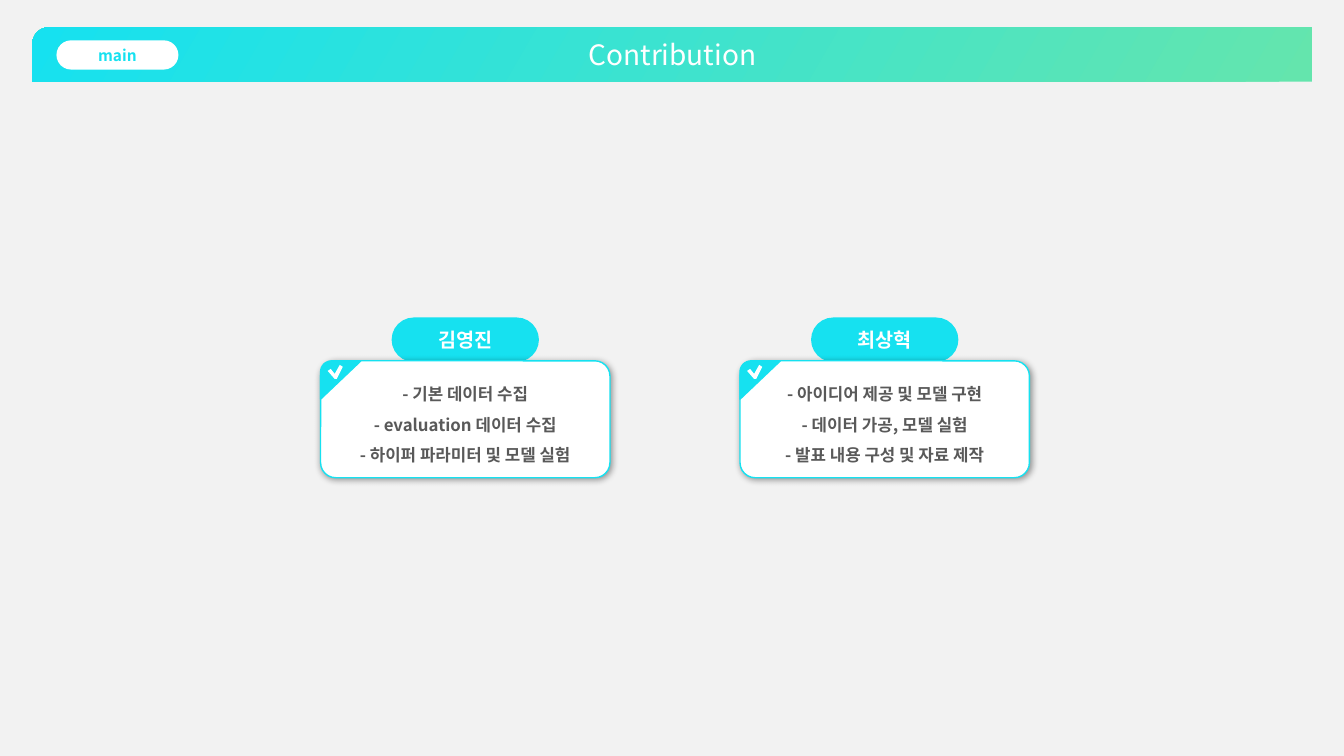
from dataclasses import dataclass
from math import cos, pi, sin

from lxml import etree
from pptx import Presentation
from pptx.dml.color import RGBColor
from pptx.enum import shapes, text
from pptx.oxml import ns, parse_xml
from pptx.util import Inches, Pt


@dataclass(frozen=True)
class Theme:
    font: str = "Noto Sans CJK KR"
    back: str = "F2F2F2"
    cyan: str = "16E1F0"
    mint: str = "64E5AD"
    white: str = "FFFFFF"
    gray: str = "595959"
    title: int = 20
    name: int = 14
    body: int = 12
    label: int = 11


T = Theme()
KIND = shapes.MSO_SHAPE
MEMBERS = [
    ("김영진", ["- 기본 데이터 수집", "- evaluation 데이터 수집",
             "- 하이퍼 파라미터 및 모델 실험"]),
    ("최상혁", ["- 아이디어 제공 및 모델 구현", "- 데이터 가공, 모델 실험",
             "- 발표 내용 구성 및 자료 제작"]),
]


def rgb(code):
    return RGBColor.from_string(code)


def paint(shape, fill, line=None, width=1):
    shape.shadow.inherit = False
    shape.fill.solid()
    shape.fill.fore_color.rgb = rgb(fill)
    if line:
        shape.line.color.rgb = rgb(line)
        shape.line.width = Pt(width)
    else:
        shape.line.fill.background()


def write(shape, lines, size, color, bold=True, space=1.0):
    frame = shape.text_frame
    frame.word_wrap = True
    frame.vertical_anchor = text.MSO_ANCHOR.MIDDLE
    frame.text = "\n".join(lines)
    for para in frame.paragraphs:
        para.alignment = text.PP_ALIGN.CENTER
        para.line_spacing = space
        font = para.font
        font.name, font.size, font.bold = T.font, Pt(size), bold
        font.color.rgb = rgb(color)
        east = etree.SubElement(font._rPr, ns.qn("a:ea"))
        east.set("typeface", T.font)


def add(parent, kind, box, round_by):
    shape = parent.add_shape(kind, *map(Inches, box))
    shape.adjustments[0] = round_by
    return shape


def outline(parent, x, y, points):
    """Closed shape through points measured in inches from x, y."""
    spots = [(Inches(x + a), Inches(y + b)) for a, b in points]
    pen = parent.build_freeform(*spots[0])
    pen.add_line_segments(spots[1:], close=True)
    return pen.convert_to_shape()


def cast(shape):
    """Give the shape a soft shadow to the lower right."""
    shape._element.spPr.remove(shape._element.spPr.find(ns.qn("a:effectLst")))
    shape._element.spPr.append(parse_xml(
        f'<a:effectLst {ns.nsdecls("a")}>'
        f'<a:outerShdw blurRad="{Pt(5)}" dist="{Pt(1)}" dir="2700000" '
        'algn="tl" rotWithShape="0"><a:srgbClr val="000000">'
        '<a:alpha val="40000"/></a:srgbClr></a:outerShdw></a:effectLst>'))


def header(slide, box):
    x, y, w, h = box
    bar = add(slide.shapes, KIND.ROUND_1_RECTANGLE, box, 0.31)
    paint(bar, T.cyan)
    bar._element.spPr.xfrm.set("flipH", "1")
    bar.fill.gradient()
    bar.fill.gradient_angle = 30
    for stop, color in zip(bar.fill.gradient_stops, (T.mint, T.cyan)):
        stop.color.rgb = rgb(color)

    title = slide.shapes.title
    title.left, title.top, title.width, title.height = map(Inches, box)
    write(title, ["Contribution"], T.title, T.white, bold=False)
    title.text_frame.auto_size = text.MSO_AUTO_SIZE.NONE
    bar._element.addnext(title._element)

    pill = add(slide.shapes, KIND.ROUNDED_RECTANGLE,
               (x + 0.24, y + 0.13, 1.21, 0.29), 0.5)
    paint(pill, T.white)
    write(pill, ["main"], T.label, T.cyan)


def member(slide, box, name, tasks):
    """Name tab over a card of tasks with a ticked corner."""
    x, y, w, h = box
    tab_w, tab_h = 1.44, 0.42
    tab = add(slide.shapes, KIND.ROUNDED_RECTANGLE,
              (x + (w - tab_w) / 2, y, tab_w, tab_h), 0.5)
    paint(tab, T.cyan, T.cyan, 1.5)
    write(tab, [name], T.name, T.white)
    tab.text_frame.margin_top = tab.text_frame.margin_bottom = 0

    top = y + tab_h
    group = slide.shapes.add_group_shape().shapes
    card = add(group, KIND.ROUNDED_RECTANGLE, (x, top, w, h - tab_h), 0.13)
    paint(card, T.white, T.cyan)
    cast(card)
    write(card, tasks, T.body, T.gray, space=1.5)

    r = 0.11
    turns = [pi / 2 * step / 8 for step in range(9)]
    arc = [(r - r * cos(t), r - r * sin(t)) for t in turns]
    paint(outline(group, x, top, arc + [(0.4, 0), (0, 0.38)]), T.cyan, T.cyan)
    tick = [(0.07, 0.1), (0.1, 0.08), (0.14, 0.13), (0.19, 0.04),
            (0.22, 0.06), (0.16, 0.18), (0.14, 0.18)]
    paint(outline(group, x, top, tick), T.white)


def main():
    deck = Presentation()
    deck.slide_width, deck.slide_height = Inches(13.33), Inches(7.5)
    slide = deck.slides.add_slide(deck.slide_layouts[5])
    slide.background.fill.solid()
    slide.background.fill.fore_color.rgb = rgb(T.back)
    header(slide, (0.32, 0.27, 12.7, 0.54))
    for i, (name, tasks) in enumerate(MEMBERS):
        member(slide, (3.18 + 4.16 * i, 3.16, 2.87, 1.58), name, tasks)
    deck.save("out.pptx")


if __name__ == "__main__":
    main()
